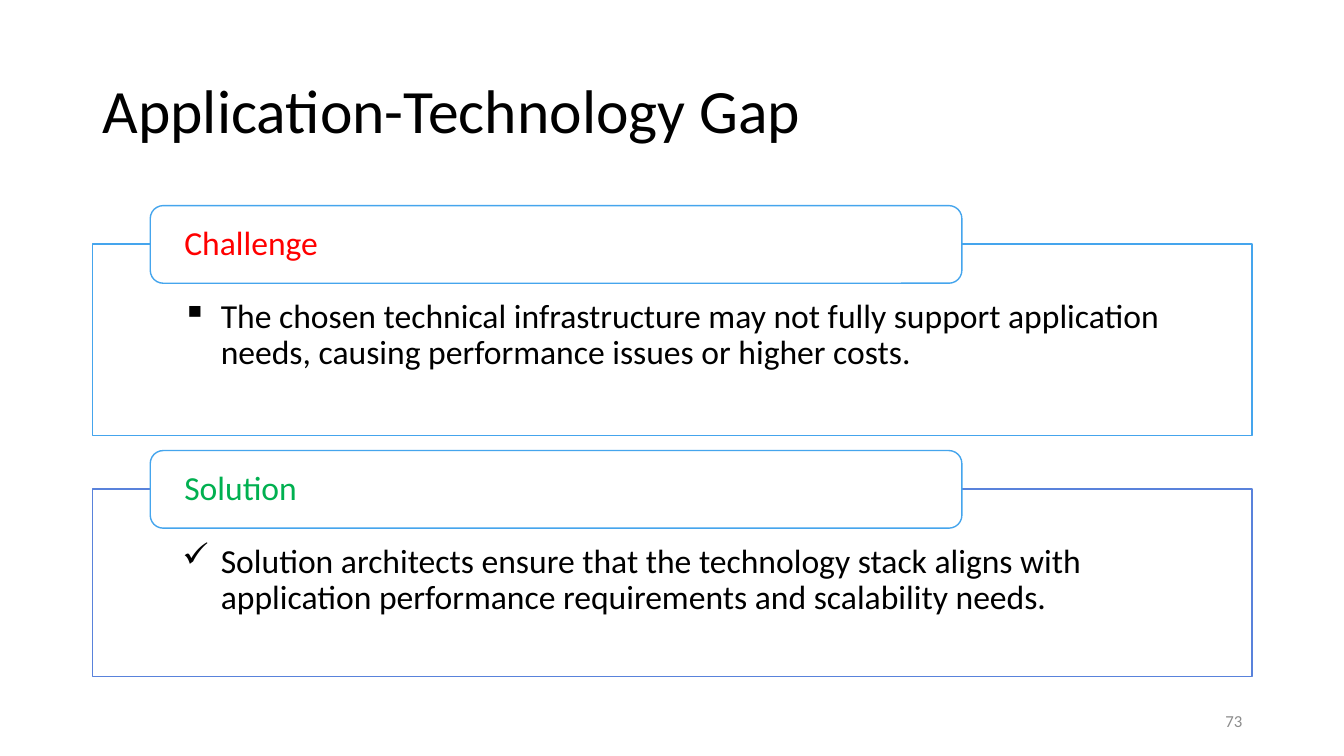
from dataclasses import dataclass

from lxml.etree import SubElement
from pptx import Presentation
from pptx.dml.color import RGBColor as Rgb
from pptx.enum.shapes import MSO_SHAPE as Shape
from pptx.enum.text import MSO_ANCHOR as Anchor, PP_ALIGN as Align
from pptx.oxml.ns import qn
from pptx.util import Inches, Pt


@dataclass(frozen=True)
class Theme:
    font: str = "Calibri"
    white: str = "FFFFFF"
    ink: str = "000000"
    gray: str = "8C8C8C"
    red: str = "FF0000"
    green: str = "00B050"
    sky: str = "45A5ED"
    blue: str = "5982DB"
    title: int = 44
    body: int = 24
    small: int = 12


THEME = Theme()
LEFT, WIDE = 0.92, 11.5
PANELS = [
    (2.42, 1.9, THEME.sky, "Challenge", THEME.red, "▪",
     "The chosen technical infrastructure may not fully support "
     "application needs, causing performance issues or higher costs."),
    (4.85, 1.86, THEME.blue, "Solution", THEME.green, "✓",
     "Solution architects ensure that the technology stack aligns with "
     "application performance requirements and scalability needs."),
]


def set_all(item, values):
    for name, value in values.items():
        setattr(item, name, value)


def write(shape, text, size, color, pads=(0.1, 0.05, 0.1, 0.05),
          anchor=Anchor.MIDDLE, align=Align.LEFT, space=0.9):
    """Fill a shape with one paragraph; pads run left, top, right, bottom."""
    frame = shape.text_frame
    sides = ("margin_left", "margin_top", "margin_right", "margin_bottom")
    set_all(frame, dict(zip(sides, map(Inches, pads))))
    set_all(frame, {"word_wrap": True, "vertical_anchor": anchor})
    para = frame.paragraphs[0]
    set_all(para, {"alignment": align, "line_spacing": space})
    run = para.add_run()
    run.text = text
    set_all(run.font, {"name": THEME.font, "size": Pt(size)})
    run.font.color.rgb = Rgb.from_string(color)
    return para


def add_label(slide, box, *args, **opts):
    write(slide.shapes.add_textbox(*map(Inches, box)), *args, **opts)


def add_box(slide, kind, box, edge):
    shape = slide.shapes.add_shape(kind, *map(Inches, box))
    shape.shadow.inherit = False
    shape.fill.solid()
    shape.fill.fore_color.rgb = Rgb.from_string(THEME.white)
    shape.line.color.rgb = Rgb.from_string(edge)
    shape.line.width = Pt(1)
    return shape


def fade(shape, share):
    """Set the opacity of a solid fill, in percent."""
    color = shape.fill._xPr.find(qn("a:solidFill"))[0]
    SubElement(color, qn("a:alpha"), val=str(share * 1000))


def add_mark(para, mark, indent):
    """Give a paragraph a bullet with a hanging indent."""
    para.level = 1
    props = para._p.get_or_add_pPr()
    props.set("marL", str(Inches(indent)))
    props.set("indent", str(-Inches(indent)))
    SubElement(props, qn("a:buChar"), char=mark)


def add_panel(slide, top, high, edge, head, tint, mark, text):
    body = add_box(slide, Shape.RECTANGLE, (LEFT, top, WIDE, high), edge)
    fade(body, 90)
    para = write(body, text, THEME.body, THEME.ink,
                 (0.89, 0.55, 0.89, 0.19), Anchor.TOP)
    add_mark(para, mark, 0.38)
    tab = add_box(slide, Shape.ROUNDED_RECTANGLE,
                  (LEFT + 0.57, top - 0.38, 8.05, 0.77), THEME.sky)
    write(tab, head, THEME.body, tint, (0.3, 0, 0.3, 0))


def main():
    deck = Presentation()
    set_all(deck, {"slide_width": Inches(13.33), "slide_height": Inches(7.5)})
    slide = deck.slides.add_slide(deck.slide_layouts[6])
    add_label(slide, (LEFT, 0.4, WIDE, 1.45), "Application-Technology Gap",
              THEME.title, THEME.ink)
    for panel in PANELS:
        add_panel(slide, *panel)
    add_label(slide, (9.42, 6.95, 3, 0.4), "73", THEME.small, THEME.gray,
              align=Align.RIGHT, space=1.0)
    deck.save("out.pptx")


if __name__ == "__main__":
    main()
